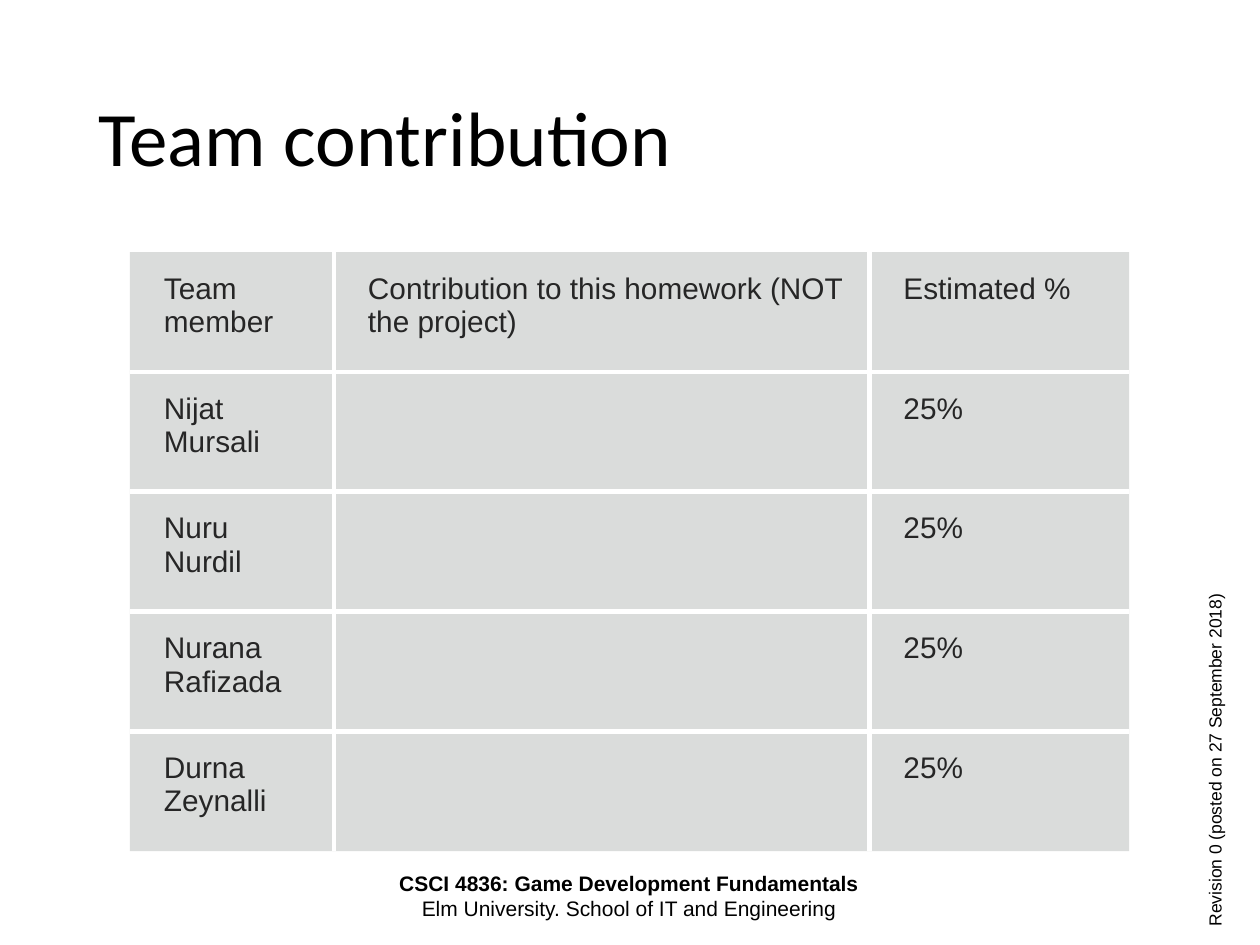
from lxml import etree
from pptx import Presentation
from pptx import util as u
from pptx.dml.color import RGBColor
from pptx.enum import text
from pptx.oxml.ns import qn

Pt = u.Pt
BLACK, WHITE, INK, GREY = "000000", "FFFFFF", "262626", "878E8B"
COLUMN_WIDTHS = (116.6, 306, 148.4)
ROW_HEIGHT = 68.5
HEADER = ("Team member", "Contribution to this homework (NOT the project)", "Estimated %")
MEMBERS = ("Nijat Mursali", "Nuru Nurdil", "Nurana Rafizada", "Durna Zeynalli")


def color(value):
    return RGBColor.from_string(value)


def style_span(span, size, font, ink, bold=False):
    span.font.size = Pt(size)
    span.font.name = font
    span.font.bold = bold
    span.font.color.rgb = color(ink)


def add_text(page, left, top, width, height, lines, size, font="Arial",
             align=text.PP_ALIGN.LEFT, bold_first=False, wrap=True):
    box = page.shapes.add_textbox(Pt(left), Pt(top), Pt(width), Pt(height))
    frame = box.text_frame
    frame.word_wrap = wrap
    frame.text = "\n".join(lines)
    for index, para in enumerate(frame.paragraphs):
        para.alignment = align
        style_span(para.runs[0], size, font, BLACK, bold_first and index == 0)
    return frame


def set_border(cell, position, side, visible):
    """Draw one cell edge, or switch it off; edges come before the fill."""
    line = etree.Element(qn(f"a:ln{side}"), w=str(Pt(3)))
    if visible:
        fill = etree.SubElement(line, qn("a:solidFill"))
        etree.SubElement(fill, qn("a:srgbClr"), val=WHITE)
    else:
        etree.SubElement(line, qn("a:noFill"))
    cell._tc.get_or_add_tcPr().insert(position, line)


def fill_cell(cell, words):
    cell.margin_left = Pt(19.5)
    cell.margin_top = cell.margin_right = cell.margin_bottom = Pt(11.5)
    cell.text = words
    para = cell.text_frame.paragraphs[0]
    para.font.size = Pt(17)
    for span in para.runs:
        style_span(span, 17, "Arial", INK)
    cell.fill.solid()
    cell.fill.fore_color.rgb = color(GREY)
    shade = cell._tc.tcPr.find(f".//{qn('a:srgbClr')}")
    etree.SubElement(shade, qn("a:alpha"), val="30000")


def add_contribution_table(page, left, top):
    rows = [HEADER] + [(member, "", "25%") for member in MEMBERS]
    last_row, last_column = len(rows) - 1, len(HEADER) - 1
    table = page.shapes.add_table(
        len(rows), len(HEADER), Pt(left), Pt(top),
        Pt(sum(COLUMN_WIDTHS)), Pt(ROW_HEIGHT * len(rows))).table
    table.first_row = table.horz_banding = False
    for column, width in zip(table.columns, COLUMN_WIDTHS):
        column.width = Pt(width)
    for r, row in enumerate(rows):
        table.rows[r].height = Pt(ROW_HEIGHT)
        for c, words in enumerate(row):
            cell = table.cell(r, c)
            fill_cell(cell, words)
            # Only the inner grid is drawn
            inner = {"L": c > 0, "R": c < last_column, "T": r > 0, "B": r < last_row}
            for position, (side, visible) in enumerate(inner.items()):
                set_border(cell, position, side, visible)


def main():
    deck = Presentation()
    deck.slide_width, deck.slide_height = Pt(720), Pt(540)
    page = deck.slides.add_slide(deck.slide_layouts[6])

    # Course footer and revision note
    add_text(page, 206.5, 494, 306, 36,
             ("CSCI 4836: Game Development Fundamentals",
              "Elm University. School of IT and Engineering"),
             12, align=text.PP_ALIGN.CENTER, bold_first=True)
    revision = add_text(page, 684.5, 337.5, 26.6, 199,
                        ("Revision 0 (posted on 27 September 2018)",), 10, wrap=False)
    revision._txBody.bodyPr.set("vert", "vert270")

    # Title
    title = add_text(page, 49.5, 28.75, 621, 104.4, ("Team contribution",), 44, "Calibri")
    title.vertical_anchor = text.MSO_ANCHOR.MIDDLE
    title.paragraphs[0].line_spacing = 0.9

    # Contributions of the team
    add_contribution_table(page, 74.2, 144)

    deck.save("out.pptx")


if __name__ == "__main__":
    main()
